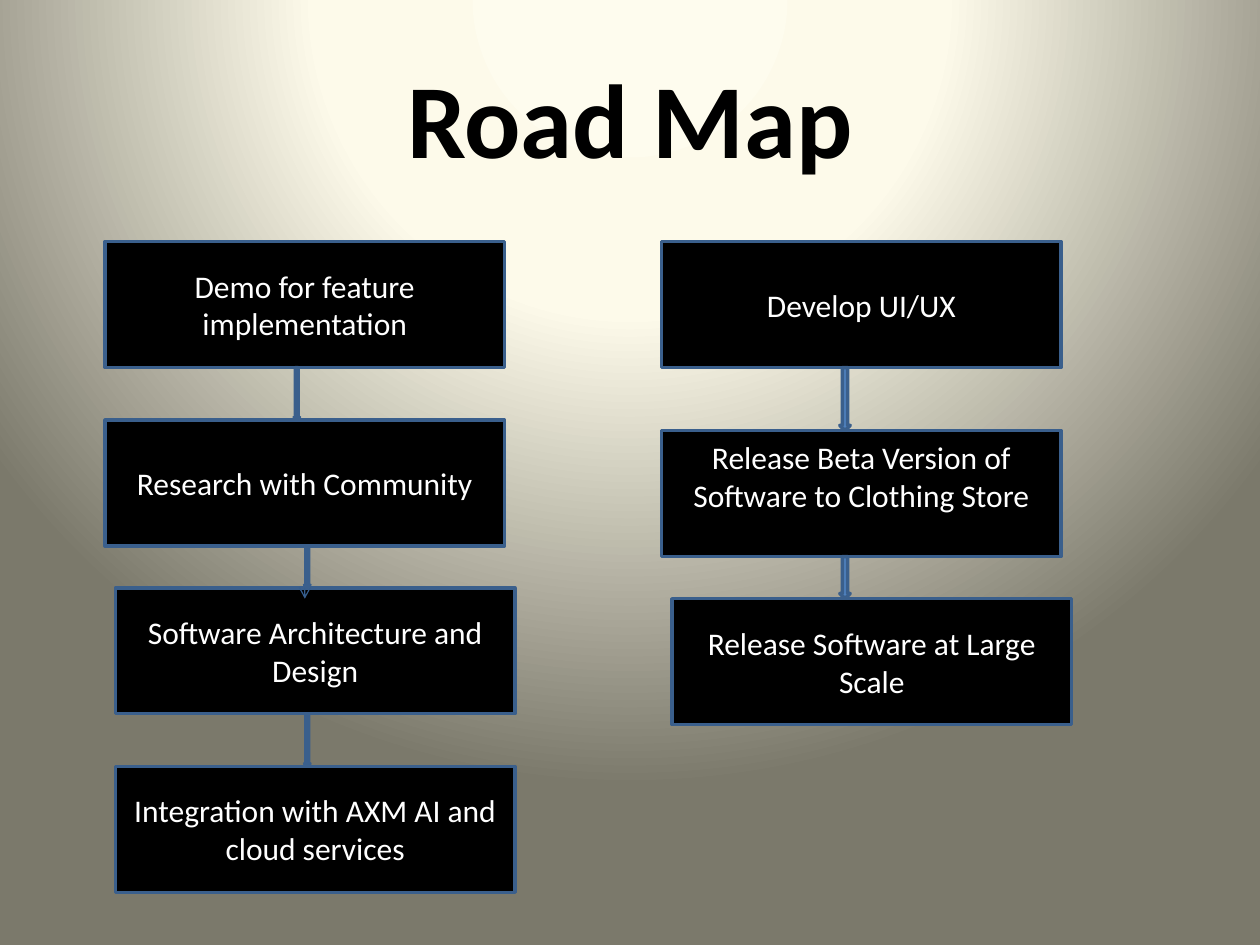
from itertools import pairwise

from lxml.etree import SubElement
from pptx import Presentation
from pptx.dml.color import RGBColor
from pptx.enum.shapes import MSO_CONNECTOR, MSO_SHAPE
from pptx.enum.text import MSO_ANCHOR, PP_ALIGN
from pptx.oxml import parse_xml
from pptx.oxml.ns import nsdecls, qn
from pptx.util import Cm, Pt

# Lengths are in centimetres.
TITLE = "Road Map"
BOX_WIDTH, BOX_HEIGHT = 8.05, 2.54
BOX_FILL, ARROW_FILL, OUTLINE = "000000", "4F81BD", "3A5F8C"
BACKGROUND_STOPS = [(0, "FEFCEE"), (40, "FDFAEA"), (100, "7B796B")]

# Steps are (text, left, top, bottom margin); arrows run from step to step.
TRACKS = [
    {
        "steps": [
            ("Demo for feature implementation", 2.12, 4.87, 0.13),
            ("Research with Community", 2.12, 8.47, 0.13),
            ("Software Architecture and Design", 2.33, 11.85, 0.13),
            ("Integration with AXM AI and cloud services", 2.33, 15.45, 0.13),
        ],
        "arrow_lefts": [5.93, 6.14, 6.14],
        "arrow_width": 0.11,
    },
    {
        "steps": [
            ("Develop UI/UX", 13.34, 4.87, 0.13),
            ("Release Beta Version of Software to Clothing Store", 13.34, 8.68, 0.85),
            ("Release Software at Large Scale", 13.55, 12.07, 0.13),
        ],
        "arrow_lefts": [16.93, 16.93],
        "arrow_width": 0.21,
    },
]


def color(hex_string):
    return RGBColor.from_string(hex_string)


def set_text(shape, text, size, hex_string, bold=False):
    frame = shape.text_frame
    frame.text = text
    frame.word_wrap = True
    frame.vertical_anchor = MSO_ANCHOR.MIDDLE
    paragraph = frame.paragraphs[0]
    paragraph.alignment = PP_ALIGN.CENTER
    font = paragraph.runs[0].font
    font.name, font.size, font.bold = "Calibri", Pt(size), bold
    font.color.rgb = color(hex_string)


def set_background(slide):
    """Fill the slide with a circular gradient centred above its top edge."""
    stops = "".join(
        f'<a:gs pos="{position * 1000}"><a:srgbClr val="{value}"/></a:gs>'
        for position, value in BACKGROUND_STOPS
    )
    gradient = parse_xml(
        f'<a:gradFill {nsdecls("a")} rotWithShape="1"><a:gsLst>{stops}</a:gsLst>'
        '<a:path path="circle"><a:fillToRect l="50000" t="-80000" r="50000" b="180000"/>'
        "</a:path></a:gradFill>"
    )
    fill = slide.background.fill
    fill.gradient()
    placeholder_fill = slide.element.find(".//" + qn("a:gradFill"))
    placeholder_fill.getparent().replace(placeholder_fill, gradient)


def add_block(slide, kind, left, top, width, height, fill):
    shape = slide.shapes.add_shape(kind, Cm(left), Cm(top), Cm(width), Cm(height))
    shape.shadow.inherit = False
    shape.fill.solid()
    shape.fill.fore_color.rgb = color(fill)
    shape.line.color.rgb = color(OUTLINE)
    shape.line.width = Pt(2)
    return shape


def add_step(slide, text, left, top, bottom_margin):
    box = add_block(slide, MSO_SHAPE.RECTANGLE, left, top, BOX_WIDTH, BOX_HEIGHT, BOX_FILL)
    set_text(box, text, 18, "FFFFFF")
    box.text_frame.margin_bottom = Cm(bottom_margin)
    return box


def add_thin_arrow(slide, box, length):
    """Draw a line with an open head down from the middle of a box's lower side."""
    x, y = box.left + box.width // 2, box.top + box.height
    line = slide.shapes.add_connector(MSO_CONNECTOR.STRAIGHT, x, y, x, y + Cm(length))
    line.begin_connect(box, 2)
    line.line.color.rgb = color("355D8D")
    line.line.width = Pt(0.75)
    SubElement(line.line._get_or_add_ln(), qn("a:tailEnd"), type="arrow")
    SubElement(line._element.spPr, qn("a:effectLst"))


def main():
    presentation = Presentation()
    presentation.slide_width, presentation.slide_height = Cm(25.4), Cm(19.05)
    slide = presentation.slides.add_slide(presentation.slide_layouts[5])
    set_background(slide)

    title = slide.shapes.title
    title.left, title.top, title.width, title.height = Cm(1.27), Cm(0.76), Cm(22.86), Cm(3.18)
    set_text(title, TITLE, 60, "000000", bold=True)

    boxes = [[add_step(slide, *step) for step in track["steps"]] for track in TRACKS]
    research_box = boxes[0][1]
    add_thin_arrow(slide, research_box, 1.06)

    for track in TRACKS:
        tops = [top for _, _, top, _ in track["steps"]]
        for left, (upper, lower) in zip(track["arrow_lefts"], pairwise(tops)):
            start = upper + BOX_HEIGHT
            add_block(slide, MSO_SHAPE.DOWN_ARROW, left, start,
                      track["arrow_width"], lower - start, ARROW_FILL)

    presentation.save("out.pptx")


if __name__ == "__main__":
    main()
